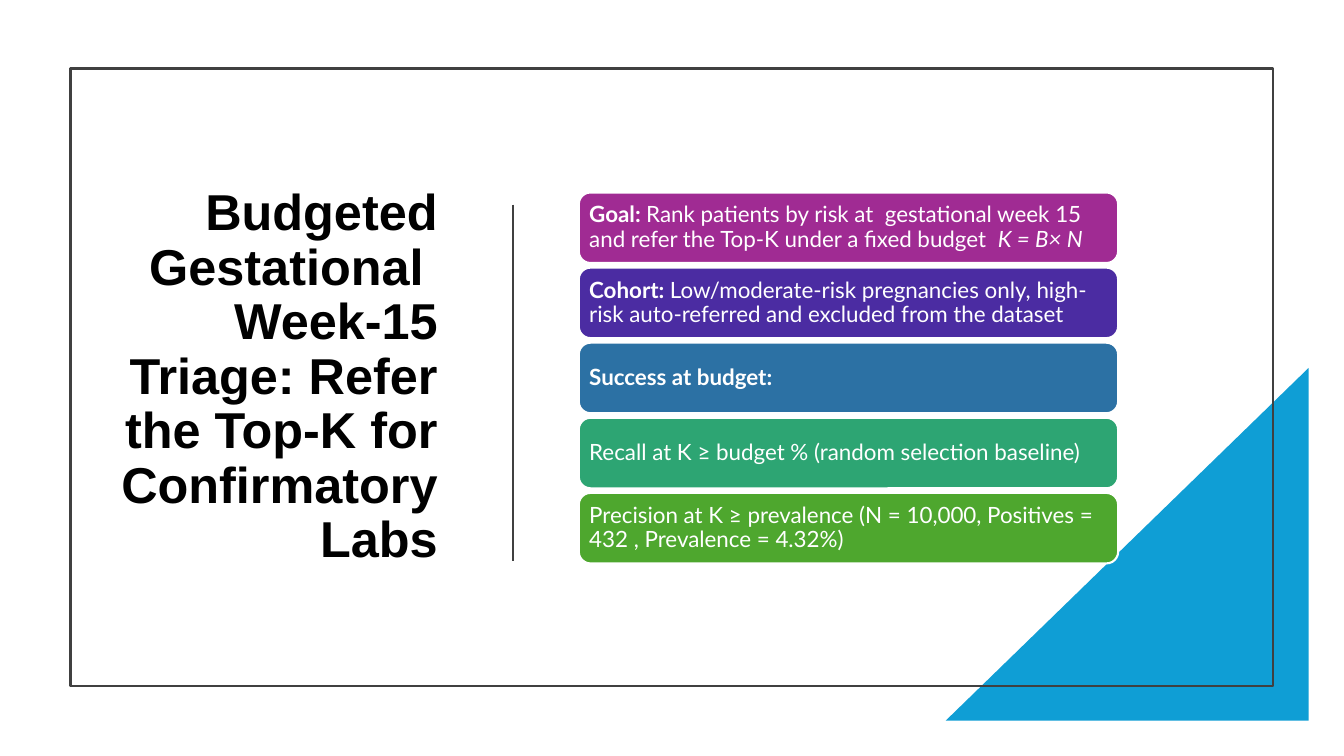
"""Build the triage goal slide with a title and five stacked cards."""
from lxml import etree
from pptx import Presentation
from pptx.dml.color import RGBColor
from pptx.enum.shapes import MSO_CONNECTOR, MSO_SHAPE
from pptx.enum.text import MSO_ANCHOR, PP_ALIGN
from pptx.oxml.ns import qn
from pptx.util import Inches, Pt

RECT = MSO_SHAPE.RECTANGLE
ROUNDED = MSO_SHAPE.ROUNDED_RECTANGLE
TRIANGLE = MSO_SHAPE.RIGHT_TRIANGLE
STRAIGHT = MSO_CONNECTOR.STRAIGHT
MIDDLE = MSO_ANCHOR.MIDDLE
LEFT, RIGHT = PP_ALIGN.LEFT, PP_ALIGN.RIGHT

COLORS = {
    "corner": "0F9ED5", "frame": "404040", "title": "000000", "white": "FFFFFF",
    "goal": "A02B93", "cohort": "4B2CA2", "success": "2C71A4",
    "recall": "2DA573", "precision": "4EA72E",
}
TITLE = "Budgeted Gestational  Week-15 Triage: Refer the Top-K for Confirmatory Labs"
CARDS = [
    ("goal", [("Goal: ", "b"),
              ("Rank patients by risk at  gestational week 15 and refer "
               "the Top-K under a fixed budget  ", ""),
              ("K = B× N", "i")]),
    ("cohort", [("Cohort: ", "b"),
                ("Low/moderate-risk pregnancies only, high-risk auto-referred "
                 "and excluded from the dataset", "")]),
    ("success", [("Success at budget:", "b")]),
    ("recall", [("Recall at K ≥ budget % (random selection baseline)", "")]),
    ("precision", [("Precision at K ≥ prevalence (N = 10,000, "
                    "Positives = 432 , Prevalence = 4.32%)", "")]),
]
FIRST_TOP, LAST_TOP = 1.91, 4.89


def rgb(name):
    """Return the named palette colour."""
    return RGBColor.from_string(COLORS[name])


def add_block(s, kind, box, fill=None, line=None):
    """Add a shape with an optional fill and outline."""
    sp = s.shapes.add_shape(kind, *map(Inches, box))
    sp.shadow.inherit = False
    if fill:
        sp.fill.solid()
        sp.fill.fore_color.rgb = rgb(fill)
    else:
        sp.fill.background()
    if line:
        sp.line.color.rgb = rgb(line)
        sp.line.width = Pt(1.5)
    else:
        sp.line.fill.background()
    return sp


def add_divider(s, x, top, bottom):
    """Add a vertical line."""
    line = s.shapes.add_connector(
        STRAIGHT, Inches(x), Inches(top), Inches(x), Inches(bottom))
    line.line.color.rgb = rgb("frame")
    line.line.width = Pt(1.5)
    etree.SubElement(line._element.spPr, qn("a:effectLst"))


def write_text(sp, runs, font, size, color, align):
    """Write one vertically centred paragraph of styled runs."""
    tf = sp.text_frame
    tf.word_wrap = True
    tf.vertical_anchor = MIDDLE
    p = tf.paragraphs[0]
    p.alignment = align
    p.line_spacing = 0.9
    p.font.name = font
    p.font.size = Pt(size)
    p.font.color.rgb = rgb(color)
    for text, style in runs:
        r = p.add_run()
        r.text = text
        r.font.bold = style == "b"
        r.font.italic = style == "i"


def add_card(s, top, fill, runs):
    """Add a rounded card with its statement."""
    sp = add_block(s, ROUNDED, (5.74, top, 5.35, 0.7), fill, "white")
    tf = sp.text_frame
    tf.margin_left = tf.margin_right = Inches(0.07)
    tf.margin_top = tf.margin_bottom = Inches(0.07)
    write_text(sp, runs, "Lato", 16, "white", LEFT)


def main():
    """Build and save the slide."""
    prs = Presentation()
    prs.slide_width, prs.slide_height = Inches(13.33), Inches(7.5)
    s = prs.slides.add_slide(prs.slide_layouts[6])
    corner = add_block(s, TRIANGLE, (9.38, 3.65, 3.6, 3.5), "corner")
    corner._element.spPr.find(qn("a:xfrm")).set("flipH", "1")
    add_block(s, RECT, (0.7, 0.68, 11.93, 6.13), line="frame")
    title = s.shapes.add_textbox(*map(Inches, (1.1, 1.3, 3.34, 4.9)))
    write_text(title, [(TITLE, "b")], "Arial", 36, "title", RIGHT)
    add_divider(s, 5.09, 2.03, 5.57)
    pitch = (LAST_TOP - FIRST_TOP) / (len(CARDS) - 1)
    for i, (fill, runs) in enumerate(CARDS):
        add_card(s, FIRST_TOP + i * pitch, fill, runs)
    prs.save("out.pptx")


if __name__ == "__main__":
    main()
